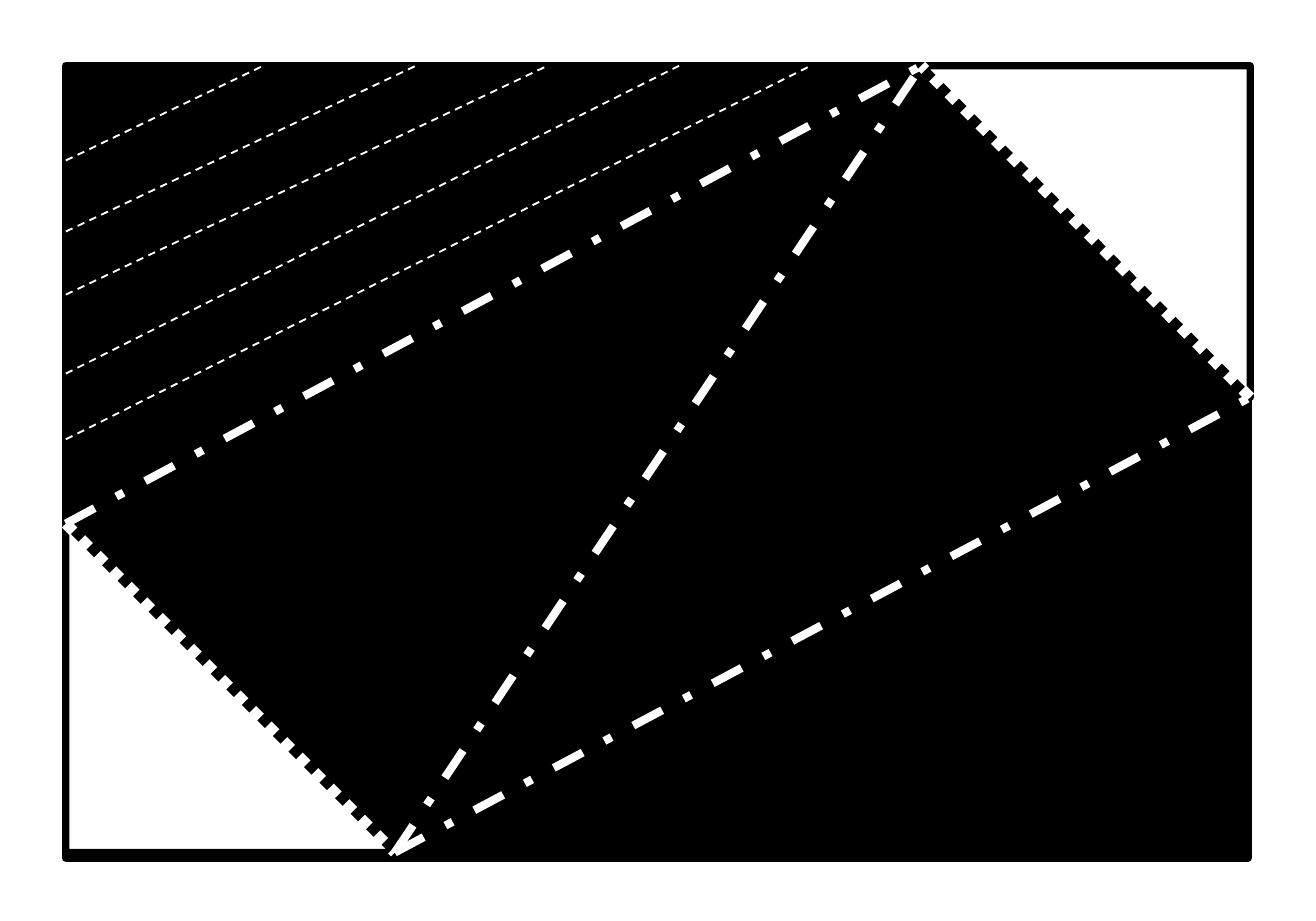
from pptx import Presentation
from pptx.dml.color import RGBColor
from pptx.enum.dml import MSO_LINE
from pptx.enum.shapes import MSO_CONNECTOR, MSO_SHAPE
from pptx.oxml.ns import qn
from pptx.util import Inches, Pt
from lxml.etree import SubElement

COLORS = {"black": "000000", "white": "FFFFFF"}

presentation = Presentation()
presentation.slide_width = Inches(5)
presentation.slide_height = Inches(3.5)
slide = presentation.slides.add_slide(presentation.slide_layouts[6])


def add_filled_shape(kind, box, fill, line_width):
    shape = slide.shapes.add_shape(kind, *[Inches(length) for length in box])
    shape.shadow.inherit = False
    shape.fill.solid()
    shape.fill.fore_color.rgb = RGBColor.from_string(COLORS[fill])
    shape.line.color.rgb = RGBColor.from_string(COLORS["black"])
    shape.line.width = Pt(line_width)
    return shape


def add_dashed_line(start, end, width, dash):
    connector = slide.shapes.add_connector(
        MSO_CONNECTOR.STRAIGHT, *[Inches(length) for length in (*start, *end)])
    connector.line.color.rgb = RGBColor.from_string(COLORS["white"])
    connector.line.width = Pt(width)
    connector.line.dash_style = dash
    SubElement(connector._element.spPr, qn("a:effectLst"))


# Corners of the parallelogram inside the sheet
left, top = 0.25, 0.25
left_corner = (left, 1.99)
bottom_corner = (1.5, 3.24)
right_corner = (4.75, 1.51)
top_corner = (3.5, top)

# Sheet with two corners cut off
add_filled_shape(MSO_SHAPE.FLOWCHART_PROCESS, (left, top, 4.49, 3.01), "black", 2.25)
upper_triangle = add_filled_shape(
    MSO_SHAPE.RIGHT_TRIANGLE, (3.5, top, 1.25, 1.26), "white", 2)
upper_triangle.rotation = 180
add_filled_shape(MSO_SHAPE.RIGHT_TRIANGLE, (left, 1.99, 1.25, 1.25), "white", 2)

# Cut edges
for start, end in [(left_corner, bottom_corner), (right_corner, top_corner)]:
    add_dashed_line(start, end, 3, MSO_LINE.ROUND_DOT)

# Fold lines
for start, end in [(left_corner, top_corner), (bottom_corner, right_corner),
                   (bottom_corner, top_corner)]:
    add_dashed_line(start, end, 2.25, MSO_LINE.DASH_DOT)

# Hatching of the upper left part: height on the left edge, end on the top edge
for edge_y, edge_x in [(0.61, 1), (0.88, 1.58), (1.12, 2.08), (1.42, 2.58), (1.67, 3.08)]:
    add_dashed_line((left, edge_y), (edge_x, top), 0.5, MSO_LINE.DASH)

presentation.save("out.pptx")
